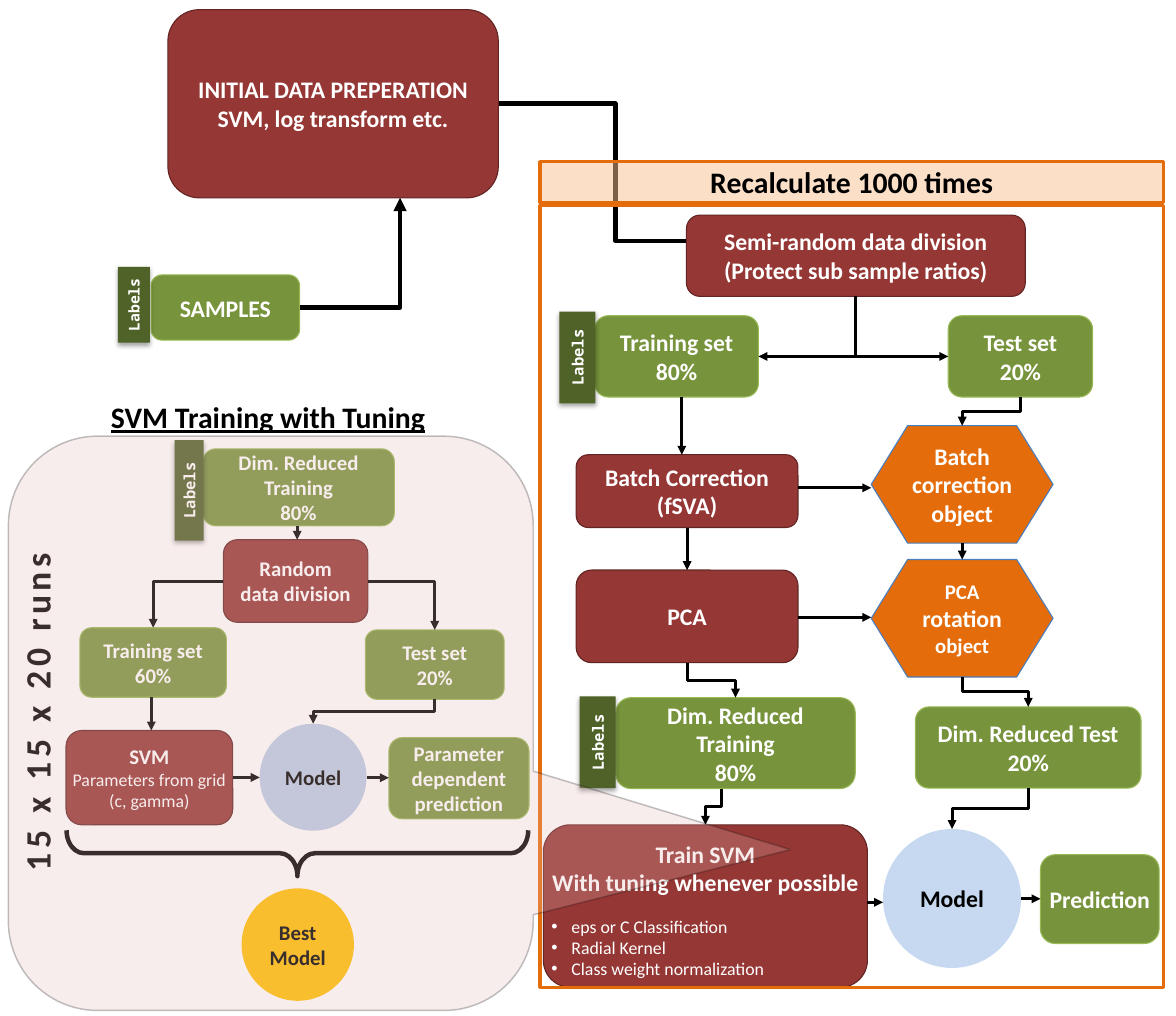
"""Build the SVM training workflow slide."""
import dataclasses
import pptx
import pptx.dml.color
import pptx.enum.shapes
import pptx.enum.text
import pptx.oxml
import pptx.oxml.ns
import pptx.util

Cm, Pt = pptx.util.Cm, pptx.util.Pt
SHAPE = pptx.enum.shapes.MSO_SHAPE
CONNECTOR = pptx.enum.shapes.MSO_CONNECTOR
ANCHOR = pptx.enum.text.MSO_ANCHOR
ALIGN = pptx.enum.text.PP_ALIGN
qn = pptx.oxml.ns.qn


@dataclasses.dataclass(frozen=True)
class Theme:
    """Colours, fonts and type sizes."""
    font: str = "Calibri"
    mono: str = "Noto Sans Mono"
    white: str = "FFFFFF"
    black: str = "000000"
    step: tuple = ("953735", "632523")
    data: tuple = ("77933C", "98B955")
    transfer: tuple = ("E46C0A", "4B7EBC")
    label: str = "4F6228"
    model: str = "C6D9F1"
    tuning_model: str = "B9CDE5"
    best: str = "FFC000"
    frame: str = "E46C0A"
    banner: str = "FAC090"
    callout: str = "E6B9B8"
    runs: int = 24
    title: int = 20
    large: int = 16
    medium: int = 14
    small: int = 12
    tag: float = 10.5


THEME = Theme()


def xml(markup):
    """Parse a DrawingML element."""
    return pptx.oxml.parse_xml(markup.replace(" ", f" {pptx.oxml.ns.nsdecls('a')} ", 1))


def rgb(value):
    """Return a colour from its hex value."""
    return pptx.dml.color.RGBColor.from_string(value)


def fade(paint, percent):
    """Set the opacity of a solid fill inside an element."""
    paint.find(f".//{qn('a:srgbClr')}").append(xml(f'<a:alpha val="{percent * 1000}"/>'))


def write(shape, paragraphs, size, color=THEME.white, font=THEME.font, bold=True,
          anchor=ANCHOR.MIDDLE, sides=0.25):
    """Write centred paragraphs, each a string or a list of (text, size, bold) runs."""
    frame = shape.text_frame
    frame.word_wrap = True
    frame.vertical_anchor = anchor
    frame.margin_left = frame.margin_right = Cm(sides)
    for index, content in enumerate(paragraphs):
        paragraph = frame.paragraphs[0] if index == 0 else frame.add_paragraph()
        paragraph.alignment = ALIGN.CENTER
        for text, points, weight in [(content, size, bold)] if isinstance(content, str) else content:
            for number, line in enumerate(text.split("\n")):
                if number:
                    paragraph.add_line_break()
                run = paragraph.add_run()
                run.text = line
                run.font.name, run.font.size, run.font.bold = font, Pt(points), weight
                run.font.color.rgb = rgb(color)
    return frame


class Region:
    """A box on the slide that places its parts relative to its corner."""

    def __init__(self, slide, left, top, width, height):
        self.shapes, self.left, self.top = slide.shapes, left, top
        self.width, self.height = width, height

    def box(self, left, top, width, height, turn=0):
        """Return the slide frame of a part, swapped when it is turned by a quarter."""
        if turn:
            left, top = left + (width - height) / 2, top + (height - width) / 2
            width, height = height, width
        return [Cm(v) for v in (self.left + left, self.top + top, width, height)]

    def shape(self, kind, place, fill=None, line=None, weight=0.75, turn=0):
        """Add a preset shape."""
        part = self.shapes.add_shape(kind, *self.box(*place, turn))
        part.shadow.inherit = False
        part.rotation = turn
        for paint, color in ((part.fill, fill), (part.line.fill, line)):
            if color:
                paint.solid()
                paint.fore_color.rgb = rgb(color)
            else:
                paint.background()
        if line:
            part.line.width = Pt(weight)
        return part

    def node(self, place, colors, paragraphs, size=THEME.large, kind=SHAPE.FLOWCHART_ALTERNATE_PROCESS, **text):
        """Add a process box with text."""
        part = self.shape(kind, place, *colors)
        write(part, paragraphs, size, **text)
        return part

    def circle(self, place, fill, paragraphs, size):
        """Add a model circle."""
        return self.node(place, (fill,), paragraphs, size, SHAPE.OVAL, color=THEME.black, sides=0)

    def label(self, place, size=THEME.tag):
        """Add an upright Labels tag with a soft shadow."""
        tag = self.shape(SHAPE.RECTANGLE, place, THEME.label, turn=270)
        tag._element.spPr.find(qn("a:effectLst")).append(xml(
            '<a:outerShdw blurRad="40000" dist="23000" dir="5400000" rotWithShape="0">'
            '<a:srgbClr val="000000"><a:alpha val="35000"/></a:srgbClr></a:outerShdw>'))
        write(tag, ["Labels"], size, font=THEME.mono)

    def caption(self, place, text, size, turn=0):
        """Add a free heading and return its run font."""
        heading = self.shapes.add_textbox(*self.box(*place, turn))
        heading.rotation = turn
        return write(heading, [text], size, THEME.black, anchor=ANCHOR.TOP).paragraphs[0].runs[0].font


def arrow(shapes, start, end, downward=False, corner=False, weight=2):
    """Draw an arrow, elbowed unless its ends are nearly aligned."""
    (x1, y1), (x2, y2) = start, end
    straight = min(abs(x2 - x1), abs(y2 - y1)) < Cm(0.3)
    if straight and downward:
        x1 = x2 = (x1 + x2) // 2
    elif straight:
        y1 = y2 = (y1 + y2) // 2
    line = shapes.add_connector(CONNECTOR.STRAIGHT if straight else CONNECTOR.ELBOW, x1, y1, x2, y2)
    properties = line._element.spPr
    if corner:
        properties.find(qn("a:prstGeom")).set("prst", "bentConnector2")
    if downward and not straight:
        run, drop = abs(x2 - x1), y2 - y1
        line.left, line.top = (x1 + x2 - drop) // 2, (y1 + y2 - run) // 2
        line.width, line.height = drop, run
        transform = properties.find(qn("a:xfrm"))
        transform.set("rot", "16200000" if x2 > x1 else "5400000")
        transform.set("flipH", "1" if x2 > x1 else "0")
    line.line.color.rgb = rgb(THEME.black)
    line.line.width = Pt(weight)
    line.line._ln.append(xml('<a:tailEnd type="triangle"/>'))
    properties.append(xml('<a:effectLst />'))


def side(part, name, shift=0):
    """Return the middle of a side, moved along it by shift."""
    across, down = {"left": (0, 1), "right": (2, 1), "top": (1, 0), "bottom": (1, 2)}[name]
    return part.left + part.width * across // 2 + Cm(shift), part.top + part.height * down // 2


def flow_down(shapes, source, target, shift=0):
    """Link a bottom side to a top side."""
    arrow(shapes, side(source, "bottom", shift), side(target, "top"), downward=True)


def flow_right(shapes, source, target):
    """Link a right side to a left side."""
    arrow(shapes, side(source, "right"), side(target, "left"))


def preparation(slide, *place):
    """Draw the samples and the initial data preparation."""
    area = Region(slide, *place)
    initial = area.node((1.19, 0, 7.85, 4.47), THEME.step,
                        ["INITIAL DATA PREPERATION", "SVM, log transform etc."])
    samples = area.node((0.79, 6.3, 3.53, 1.55), THEME.data, ["SAMPLES"])
    area.label((0, 6.11, 0.76, 1.8), 10)
    arrow(area.shapes, side(samples, "right"), side(initial, "bottom", 1.59), corner=True, weight=3)


def recalculation(slide, *place):
    """Draw the loop that is recalculated 1000 times."""
    area = Region(slide, *place)
    shapes = area.shapes
    division = area.node((3.48, 1.27, 8.05, 1.93), THEME.step,
                         ["Semi-random data division", "(Protect sub sample ratios)"])
    training = area.node((1.3, 3.66, 3.89, 1.93), THEME.data, ["Training set\n80%"])
    test = area.node((9.7, 3.66, 3.43, 1.93), THEME.data, ["Test set\n20%"])
    batch = area.node((0.86, 6.96, 5.27, 1.73), THEME.step, ["Batch Correction (fSVA)"])
    pca = area.node((0.86, 9.7, 5.27, 2.2), THEME.step, ["PCA"])
    correction = area.node((7.87, 6.27, 4.32, 2.79), THEME.transfer, ["Batch\ncorrection object"],
                           kind=SHAPE.FLOWCHART_PREPARATION, sides=0)
    rotation = area.node((7.87, 9.45, 4.32, 2.79), THEME.transfer,
                         [[("PCA\n", THEME.medium, True), ("rotation", THEME.large, True),
                           (" object", THEME.medium, True)]], kind=SHAPE.FLOWCHART_PREPARATION)
    reduced_training = area.node((1.8, 12.73, 5.69, 2.16), THEME.data, ["Dim. Reduced Training\n80%"])
    reduced_test = area.node((8.92, 12.95, 5.36, 1.93), THEME.data, ["Dim. Reduced Test", "20%"])
    options = ["eps or C Classification", "Radial Kernel", "Class weight normalization"]
    train = area.node((0.08, 15.75, 7.7, 3.86), THEME.step,
                      ["Train SVM\nWith tuning whenever possible"]
                      + [[(option, THEME.small, False)] for option in options],
                      anchor=ANCHOR.BOTTOM, sides=0)
    train.text_frame.margin_bottom = 0
    bullets = train.text_frame.paragraphs[1:]
    bullets[0].space_before = Pt(12.6)
    for bullet in bullets:
        bullet.alignment = ALIGN.LEFT
        layout = bullet._p.get_or_add_pPr()
        layout.set("marL", str(Cm(0.48)))
        layout.set("indent", str(-Cm(0.48)))
        layout.append(xml('<a:buFont typeface="Arial"/>'))
        layout.append(xml('<a:buChar char="•"/>'))
    model = area.circle((8.15, 15.85, 3.28, 3.3), THEME.model, ["Model"], THEME.large)
    prediction = area.node((11.89, 16.46, 2.82, 2.11), THEME.data, ["Prediction"], sides=0.05)
    for target, edge in ((training, "right"), (test, "left")):
        arrow(shapes, side(division, "bottom"), side(target, edge), downward=True, corner=True)
    for source, target in ((training, batch), (batch, pca), (pca, reduced_training), (test, correction),
                           (correction, rotation), (rotation, reduced_test), (reduced_test, model)):
        flow_down(shapes, source, target)
    flow_down(shapes, reduced_training, train, -0.33)
    for source, target in ((batch, correction), (pca, rotation), (train, model), (model, prediction)):
        flow_right(shapes, source, target)
    area.shape(SHAPE.RECTANGLE, (0, 1.04, area.width, area.height - 1.04), None, THEME.frame, 2.25)
    banner = area.shape(SHAPE.RECTANGLE, (0, 0, area.width, 0.97), THEME.banner, THEME.frame, 2.25)
    fade(banner._element.spPr.find(qn("a:solidFill")), 50)
    write(banner, ["Recalculate 1000 times"], THEME.title, THEME.black)
    for top in (3.56, 12.7):
        area.label((0.46 if top < 10 else 0.94, top, 0.86, 2.18))


def tuning(slide, *place):
    """Draw the SVM tuning detail under its translucent callout."""
    area = Region(slide, *place)
    shapes, size = area.shapes, THEME.medium
    reduced = area.node((4.62, 0.3, 4.55, 1.83), THEME.data, ["Dim. Reduced Training\n80%"], size, sides=0)
    area.label((3.95, 0.09, 0.69, 2.39))
    division = area.node((5.11, 2.46, 3.43, 1.96), THEME.step, ["Random data division"], size)
    training = area.node((1.7, 4.55, 3.48, 1.65), THEME.data, ["Training set\n60%"], size)
    test = area.node((8.48, 4.6, 3.3, 1.65), THEME.data, ["Test set\n20%"], size)
    svm = area.node((1.37, 6.99, 3.96, 2.24), THEME.step,
                    ["SVM", [("Parameters from grid\n(c, gamma)", THEME.small, False)]], size, sides=0)
    model = area.circle((5.97, 6.83, 2.54, 2.54), THEME.tuning_model, ["Model"], size)
    prediction = area.node((9.04, 7.16, 3.33, 1.93), THEME.data,
                           ["Parameter dependent prediction"], size, sides=0)
    for source, target in ((reduced, division), (training, svm), (test, model)):
        flow_down(shapes, source, target)
    for edge, target in (("left", training), ("right", test)):
        arrow(shapes, side(division, edge), side(target, "top"), corner=True)
    flow_right(shapes, svm, model)
    flow_right(shapes, model, prediction)
    brace = area.shape(SHAPE.RIGHT_BRACE, (1.38, 9.36, 10.97, 1.09), None, THEME.black, 3, turn=90)
    brace.adjustments[0] = 0.38
    area.caption((1.75, -1.02, 8.84, 1.12), "SVM Training with Tuning", THEME.title).underline = True
    area.circle((5.54, 10.74, 2.67, 2.67), THEME.best, ["Best", "Model"], size)
    runs = area.caption((0.03, 1.6, 1.27, 9.91), "15 x 15 x 20 runs", THEME.runs, turn=270)
    runs._element.set("spc", "300")
    callout = area.shape(SHAPE.ROUNDED_RECTANGULAR_CALLOUT, (0, 0, area.width, area.height),
                         THEME.callout, THEME.black, 1)
    for index, value in enumerate((0.99, 0.22, 0.17)):
        callout.adjustments[index] = value
    fade(callout._element.spPr.find(qn("a:solidFill")), 25)
    fade(callout.line._ln, 24)


def main():
    """Build and save the slide."""
    deck = pptx.Presentation()
    deck.slide_width, deck.slide_height = Cm(27.94), Cm(24.13)
    slide = deck.slides.add_slide(deck.slide_layouts[6])
    arrow(slide.shapes, (Cm(11.84), Cm(2.46)), (Cm(17.4), Cm(5.72)), weight=3)
    preparation(slide, 2.8, 0.23, 9.05, 7.9)
    recalculation(slide, 12.83, 3.84, 14.81, 19.61)
    tuning(slide, 0.2, 10.36, 12.47, 13.64)
    deck.save("out.pptx")


main()
